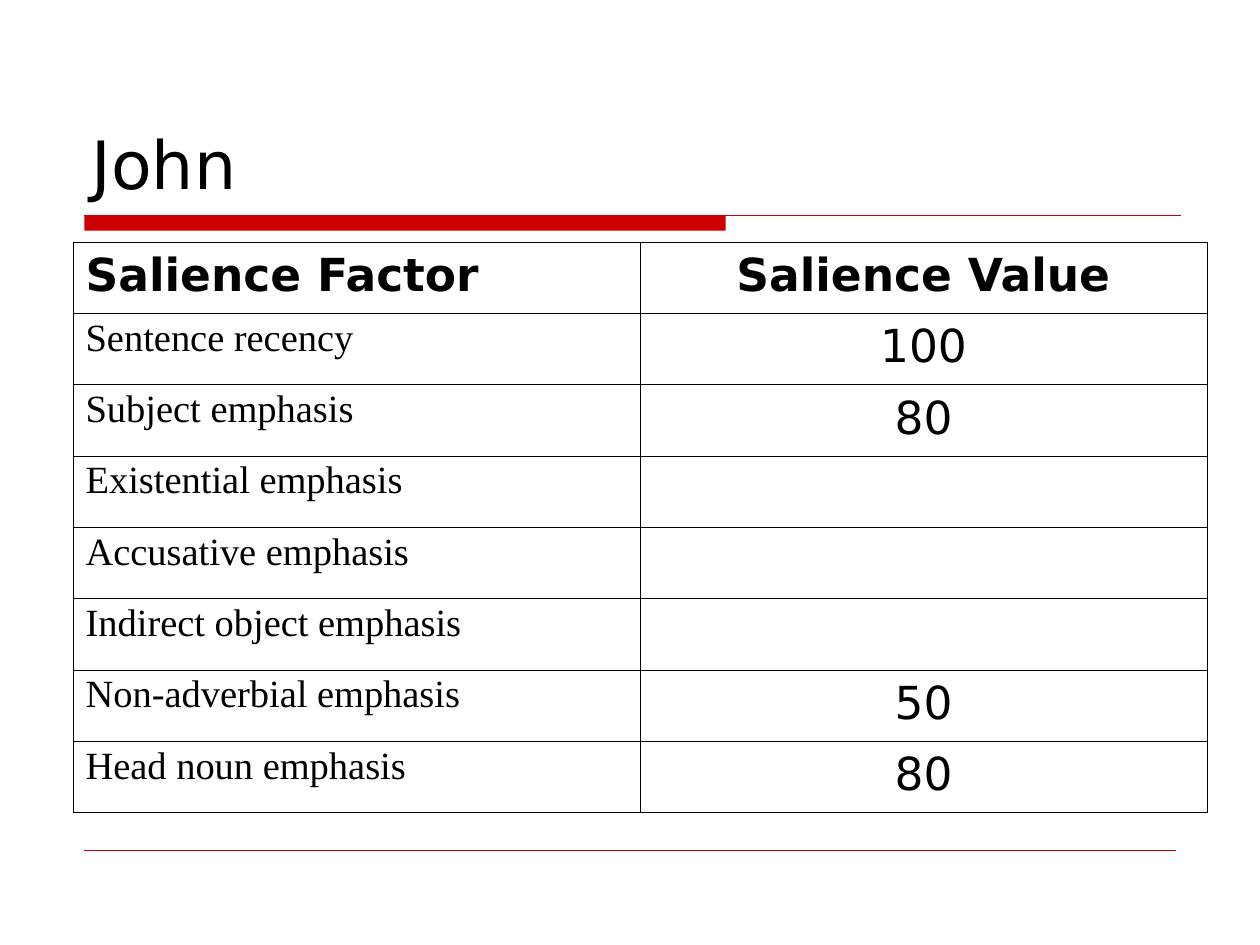
from lxml.etree import SubElement
from pptx import Presentation
from pptx.dml.color import RGBColor
from pptx.enum.shapes import MSO_CONNECTOR, MSO_SHAPE
from pptx.enum.text import MSO_ANCHOR, PP_ALIGN
from pptx.oxml import parse_xml
from pptx.oxml.ns import nsdecls, qn
from pptx.util import Inches, Pt

TITLE = "John"
ROWS = [
    ("Salience Factor", "Salience Value"),
    ("Sentence recency", "100"),
    ("Subject emphasis", "80"),
    ("Existential emphasis", ""),
    ("Accusative emphasis", ""),
    ("Indirect object emphasis", ""),
    ("Non-adverbial emphasis", "50"),
    ("Head noun emphasis", "80"),
]
SANS, SERIF = "DejaVu Sans", "Times New Roman"
RED, BLACK = "CC0000", "000000"
OUTER, INNER = 0.5, 0.23


def color(value):
    return RGBColor.from_string(value)


def style(p, font, size, bold=False):
    for r in p.runs:
        r.font.name = font
        r.font.size = Pt(size)
        r.font.bold = bold
        r.font.color.rgb = color(BLACK)


def add_rule(slide, x1, x2, y, width):
    line = slide.shapes.add_connector(
        MSO_CONNECTOR.STRAIGHT, Inches(x1), Inches(y), Inches(x2), Inches(y))
    line.line.color.rgb = color(RED)
    line.line.width = Pt(width)
    SubElement(line._element.spPr, qn("a:effectLst"))


def set_borders(cell, widths):
    tcPr = cell._tc.get_or_add_tcPr()
    for i, (side, width) in enumerate(zip("LRTB", widths)):
        tcPr.insert(i, parse_xml(
            f'<a:ln{side} {nsdecls("a")} w="{int(Pt(width))}"><a:solidFill>'
            f'<a:srgbClr val="{BLACK}"/></a:solidFill></a:ln{side}>'))


def add_salience_table(slide):
    last_row, last_col = len(ROWS) - 1, len(ROWS[0]) - 1
    table = slide.shapes.add_table(
        len(ROWS), len(ROWS[0]),
        Inches(0.58), Inches(1.92), Inches(9), Inches(4.53)).table
    table.first_row = table.horz_banding = False
    for i, row in enumerate(ROWS):
        for j, text in enumerate(row):
            cell = table.cell(i, j)
            cell.fill.background()
            set_borders(cell, [OUTER if edge else INNER for edge in
                               (j == 0, j == last_col, i == 0, i == last_row)])
            p = cell.text_frame.paragraphs[0]
            p.text = text
            p.alignment = PP_ALIGN.CENTER if j else PP_ALIGN.LEFT
            factor = i > 0 and j == 0
            p.line_spacing = 0.93 if factor else 1.02
            style(p, SERIF if factor else SANS, 22 if factor else 26, i == 0)


def main():
    prs = Presentation()
    prs.slide_width, prs.slide_height = Inches(10), Inches(7.5)
    slide = prs.slides.add_slide(prs.slide_layouts[6])

    bar = slide.shapes.add_shape(
        MSO_SHAPE.RECTANGLE, Inches(0.67), Inches(1.71), Inches(5.09), Inches(0.12))
    bar.shadow.inherit = False
    bar.fill.solid()
    bar.fill.fore_color.rgb = color(RED)
    bar.line.fill.background()
    add_rule(slide, 0.67, 9.37, 1.71, 0.75)
    add_rule(slide, 0.67, 9.33, 6.75, 0.25)

    title = slide.shapes.add_textbox(
        Inches(0.63), Inches(0.33), Inches(8.75), Inches(1.33))
    tf = title.text_frame
    tf.word_wrap = True
    tf.vertical_anchor = MSO_ANCHOR.BOTTOM
    tf.text = TITLE
    style(tf.paragraphs[0], SANS, 38)

    add_salience_table(slide)
    prs.save("out.pptx")


if __name__ == "__main__":
    main()
